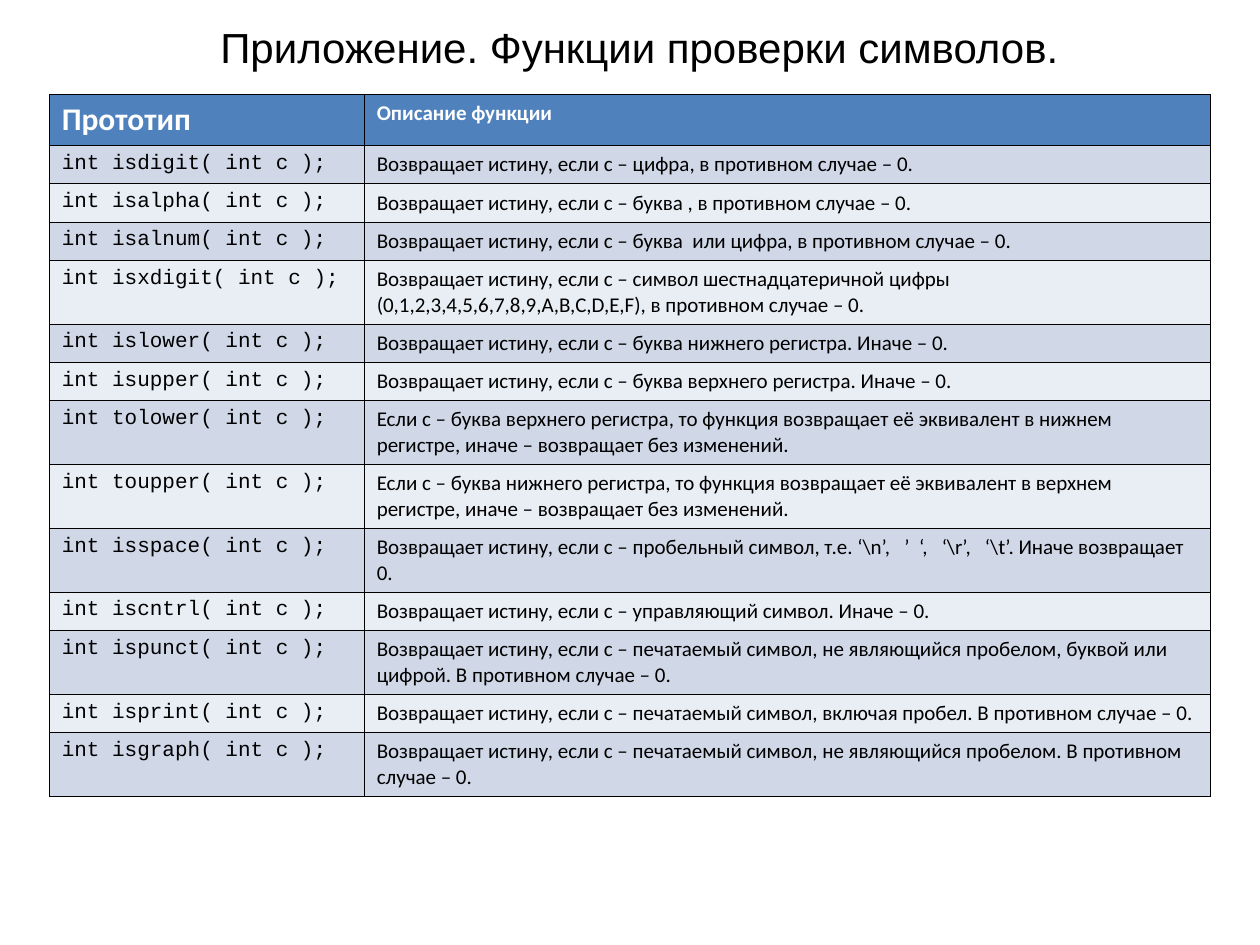
from typing import NamedTuple

from lxml.etree import SubElement
from pptx import Presentation
from pptx.dml.color import RGBColor
from pptx.enum.text import MSO_ANCHOR, MSO_AUTO_SIZE, PP_ALIGN
from pptx.oxml.ns import qn
from pptx.util import Inches, Pt

BLACK = RGBColor(0x00, 0x00, 0x00)
WHITE = RGBColor(0xFF, 0xFF, 0xFF)
HEADER_FILL = RGBColor(0x4F, 0x81, 0xBD)
BAND_FILLS = (RGBColor(0xD0, 0xD8, 0xE8), RGBColor(0xE9, 0xED, 0xF4))

# Table measures in inches, border in points
LEFT, TOP = 0.39, 0.75
COLUMNS = (2.5, 6.72)
HEADER_HEIGHT, BASE_HEIGHT, LINE_HEIGHT = 0.4, 0.1, 0.2
BORDER = 0.45

HEAD_STYLE = {"name": "Calibri", "size": Pt(18), "bold": True}
SUBHEAD_STYLE = {**HEAD_STYLE, "size": Pt(12)}
CODE_STYLE = {"name": "Courier New", "size": Pt(12), "bold": False}
TEXT_STYLE = {**CODE_STYLE, "name": "Calibri"}
TITLE_STYLE = {"name": "Arial", "size": Pt(24), "bold": False}


class Function(NamedTuple):
    name: str
    description: str
    lines: int = 1


FUNCTIONS = (
    Function("isdigit", "Возвращает истину, если с – цифра, в противном случае – 0."),
    Function("isalpha", "Возвращает истину, если с – буква , в противном случае – 0."),
    Function("isalnum", "Возвращает истину, если с – буква  или цифра, в противном случае – 0."),
    Function("isxdigit", "Возвращает истину, если с – символ шестнадцатеричной цифры "
             "(0,1,2,3,4,5,6,7,8,9,A,B,C,D,E,F), в противном случае – 0.", 2),
    Function("islower", "Возвращает истину, если с – буква нижнего регистра. Иначе – 0."),
    Function("isupper", "Возвращает истину, если с – буква верхнего регистра. Иначе – 0."),
    Function("tolower", "Если с – буква верхнего регистра, то функция возвращает её "
             "эквивалент в нижнем регистре, иначе – возвращает без изменений.", 2),
    Function("toupper", "Если с – буква нижнего регистра, то функция возвращает её "
             "эквивалент в верхнем регистре, иначе – возвращает без изменений.", 2),
    Function("isspace", "Возвращает истину, если с – пробельный символ, т.е. "
             "‘\\n’,   ’  ‘,   ‘\\r’,   ‘\\t’. Иначе возвращает 0.", 2),
    Function("iscntrl", "Возвращает истину, если с – управляющий символ. Иначе – 0."),
    Function("ispunct", "Возвращает истину, если с – печатаемый символ, не являющийся "
             "пробелом, буквой или цифрой. В противном случае – 0.", 2),
    Function("isprint", "Возвращает истину, если с – печатаемый символ, включая пробел. "
             "В противном случае – 0."),
    Function("isgraph", "Возвращает истину, если с – печатаемый символ, не являющийся "
             "пробелом. В противном случае – 0.", 2),
)


def write(tf, text: str, style: dict, color: RGBColor) -> None:
    r = tf.paragraphs[0].add_run()
    r.text = text
    for key, value in style.items():
        setattr(r.font, key, value)
    r.font.color.rgb = color


def add_borders(cell) -> None:
    props = cell._tc.get_or_add_tcPr()
    for index, side in enumerate(("lnL", "lnR", "lnT", "lnB")):
        line = props.makeelement(qn(f"a:{side}"), {"w": str(Pt(BORDER))})
        color = SubElement(SubElement(line, qn("a:solidFill")), qn("a:srgbClr"))
        color.set("val", str(BLACK))
        props.insert(index, line)  # borders come before the fill


def fill_row(row, texts: tuple, styles: tuple, color: RGBColor, fill: RGBColor) -> None:
    for cell, text, style in zip(row.cells, texts, styles):
        cell.fill.solid()
        cell.fill.fore_color.rgb = fill
        write(cell.text_frame, text, style, color)
        add_borders(cell)


def add_title(s, text: str) -> None:
    title = s.shapes.title
    title.left, title.top, title.width, title.height = map(Inches, (0.23, 0.12, 9.69, 0.5))
    tf = title.text_frame
    frame_format = {"word_wrap": True, "auto_size": MSO_AUTO_SIZE.NONE,
                    "vertical_anchor": MSO_ANCHOR.TOP}
    for key, value in frame_format.items():
        setattr(tf, key, value)
    tf.paragraphs[0].alignment = PP_ALIGN.CENTER
    write(tf, text, TITLE_STYLE, BLACK)


def add_function_table(s) -> None:
    heights = [HEADER_HEIGHT] + [BASE_HEIGHT + LINE_HEIGHT * f.lines for f in FUNCTIONS]
    frame = s.shapes.add_table(len(heights), len(COLUMNS), Inches(LEFT), Inches(TOP),
                               Inches(sum(COLUMNS)), Inches(sum(heights)))
    table = frame.table
    for column, width in zip(table.columns, COLUMNS):
        column.width = Inches(width)
    for row, height in zip(table.rows, heights):
        row.height = Inches(height)

    # Header, then banded rows
    fill_row(table.rows[0], ("Прототип", "Описание функции"),
             (HEAD_STYLE, SUBHEAD_STYLE), WHITE, HEADER_FILL)
    for i, f in enumerate(FUNCTIONS):
        fill_row(table.rows[i + 1], (f"int {f.name}( int c );", f.description),
                 (CODE_STYLE, TEXT_STYLE), BLACK, BAND_FILLS[i % 2])


def main() -> None:
    prs = Presentation()
    prs.slide_width, prs.slide_height = Inches(10), Inches(7.5)
    s = prs.slides.add_slide(prs.slide_layouts[5])  # title only
    add_title(s, "Приложение. Функции проверки символов.")
    add_function_table(s)
    prs.save("out.pptx")


if __name__ == "__main__":
    main()
